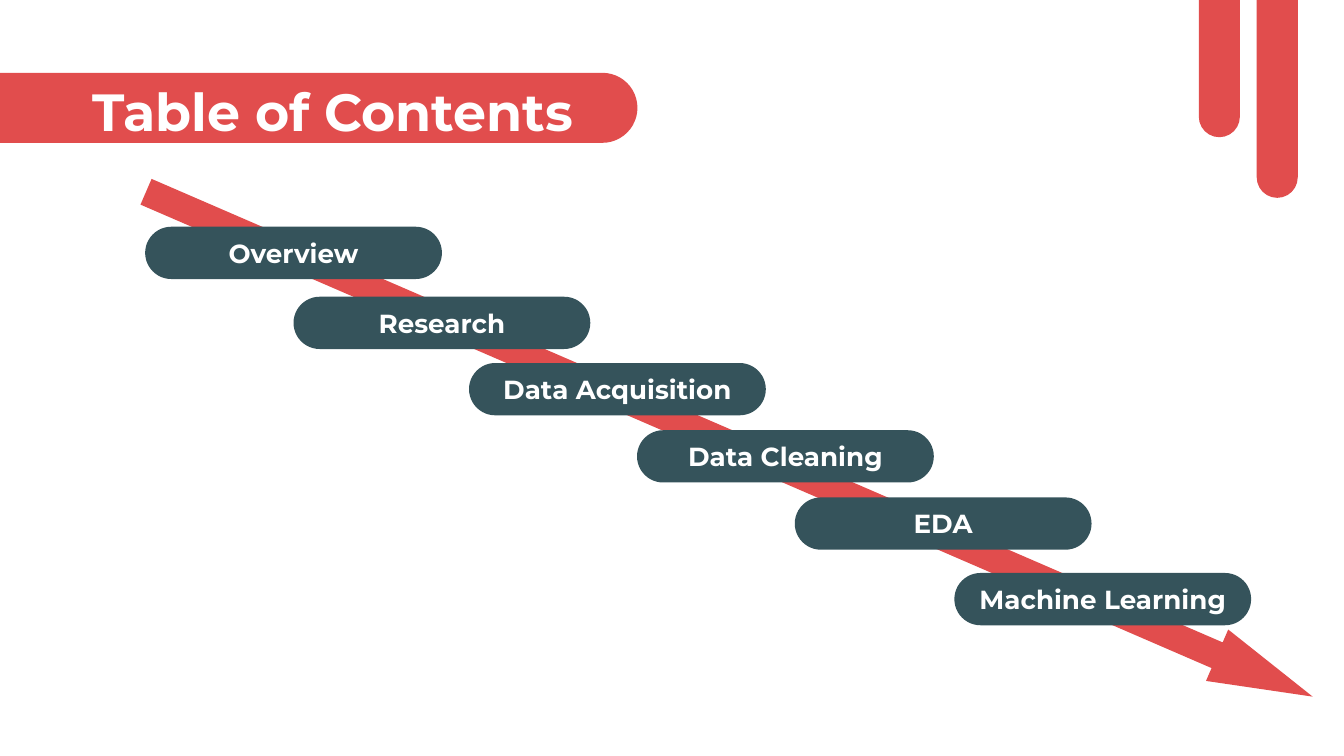
from pptx import Presentation
from pptx.dml.color import RGBColor
from pptx.enum.shapes import MSO_SHAPE as Shape
from pptx.enum.text import MSO_ANCHOR as Anchor, MSO_AUTO_SIZE as Fit, PP_ALIGN as Align
from pptx.util import Pt

RED = RGBColor(0xE1, 0x4D, 0x4D)
TEAL = RGBColor(0x35, 0x53, 0x5B)
WHITE = RGBColor(0xFF, 0xFF, 0xFF)
FONT = "Montserrat"

# Each topic with its offset inside the steps box
TOPICS = [
    ("Overview", 0, 0),
    ("Research", 79.5, 37.5),
    ("Data Acquisition", 173.5, 73),
    ("Data Cleaning", 263.5, 109),
    ("EDA", 348, 145),
    ("Machine Learning", 433.5, 185.5),
]


def add_block(slide, kind, box, color, *adjust):
    block = slide.shapes.add_shape(kind, *map(Pt, box))
    for i, value in enumerate(adjust):
        block.adjustments[i] = value
    block.shadow.inherit = False
    block.fill.solid()
    block.fill.fore_color.rgb = color
    block.line.fill.background()
    return block


def add_pill(slide, box, color):
    return add_block(slide, Shape.ROUNDED_RECTANGLE, box, color, 0.5)


def set_text(shape, text, size, align, anchor):
    frame = shape.text_frame
    frame.text = text
    frame.word_wrap = True
    frame.auto_size = Fit.NONE
    frame.vertical_anchor = anchor
    frame.margin_left = frame.margin_right = Pt(7.2)
    frame.margin_top = frame.margin_bottom = Pt(7.2)
    line = frame.paragraphs[0]
    line.alignment = align
    font = line.runs[0].font
    font.name, font.size, font.bold = FONT, Pt(size), True
    font.color.rgb = WHITE


def add_bars(slide, left, top):
    # Two bars hanging from the top edge
    for dx, dy in ((0, 0), (31, 32.5)):
        add_pill(slide, (left + dx, top + dy, 22, 175.5), RED)


def add_title(slide, left, top, width, height):
    # Banner running in from the left edge, behind the title
    banner = add_pill(slide, (left, top, width, height), RED)
    title = slide.shapes.title
    title.left, title.top = Pt(left + 73), Pt(top - 3.75)
    title.width, title.height = Pt(278), Pt(45.5)
    set_text(title, "Table of Contents", 28, Align.LEFT, Anchor.TOP)
    title.element.addprevious(banner.element)


def add_steps(slide, left, top):
    # Sloping arrow behind the topics
    box = (left - 27.5, top + 101.5, 681, 30)
    arrow = add_block(slide, Shape.RIGHT_ARROW, box, RED, 0.5, 1.86)
    arrow.rotation = 23.4
    # Topic pills
    for text, dx, dy in TOPICS:
        pill = add_pill(slide, (left + dx, top + dy, 159, 28), TEAL)
        set_text(pill, text, 14, Align.CENTER, Anchor.MIDDLE)


def main():
    deck = Presentation()
    deck.slide_width, deck.slide_height = Pt(720), Pt(405)
    slide = deck.slides.add_slide(deck.slide_layouts[5])
    add_bars(slide, 642.25, -102)
    add_title(slide, -30.5, 39, 372, 37.5)
    add_steps(slide, 77.75, 121.5)
    deck.save("out.pptx")


if __name__ == "__main__":
    main()
